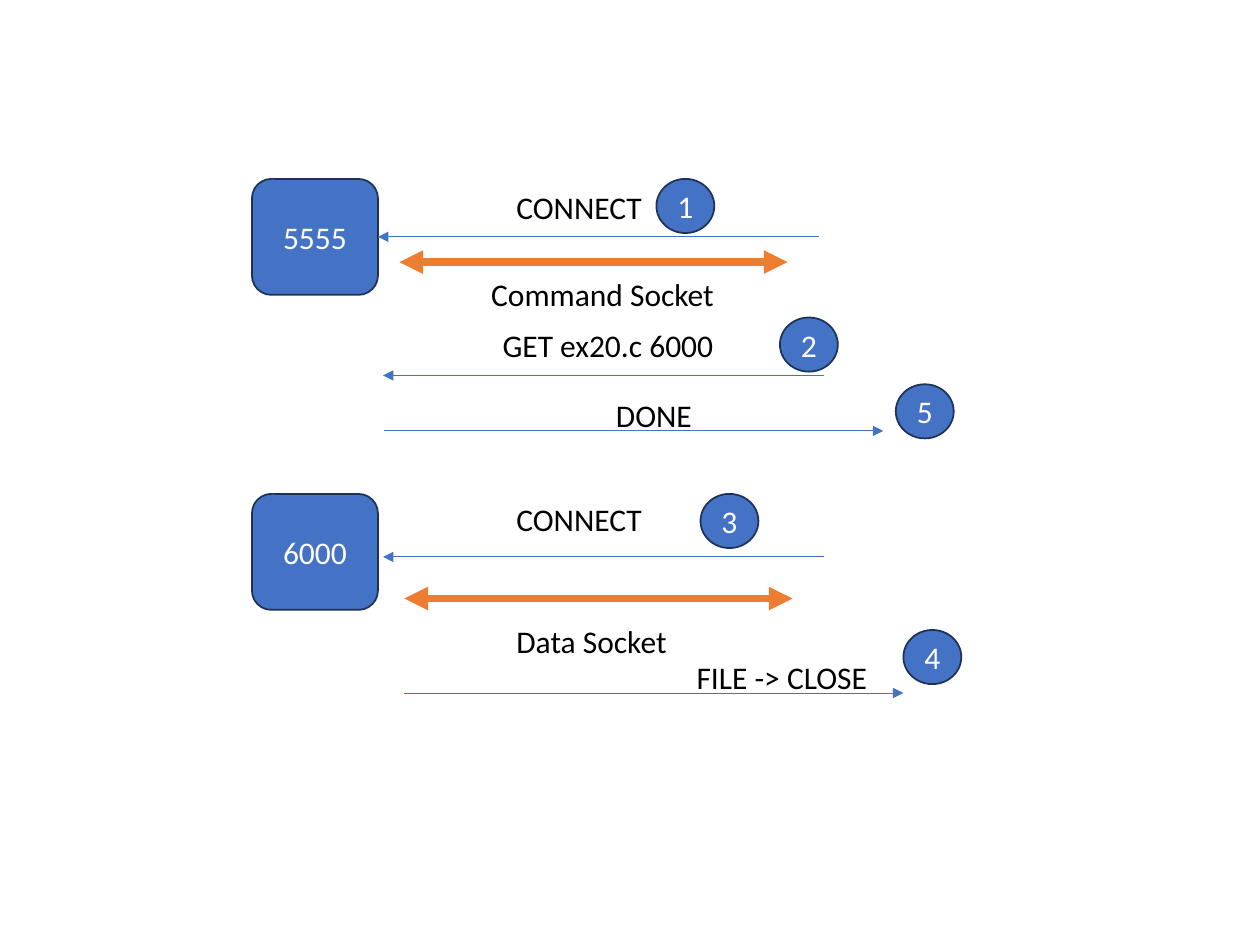
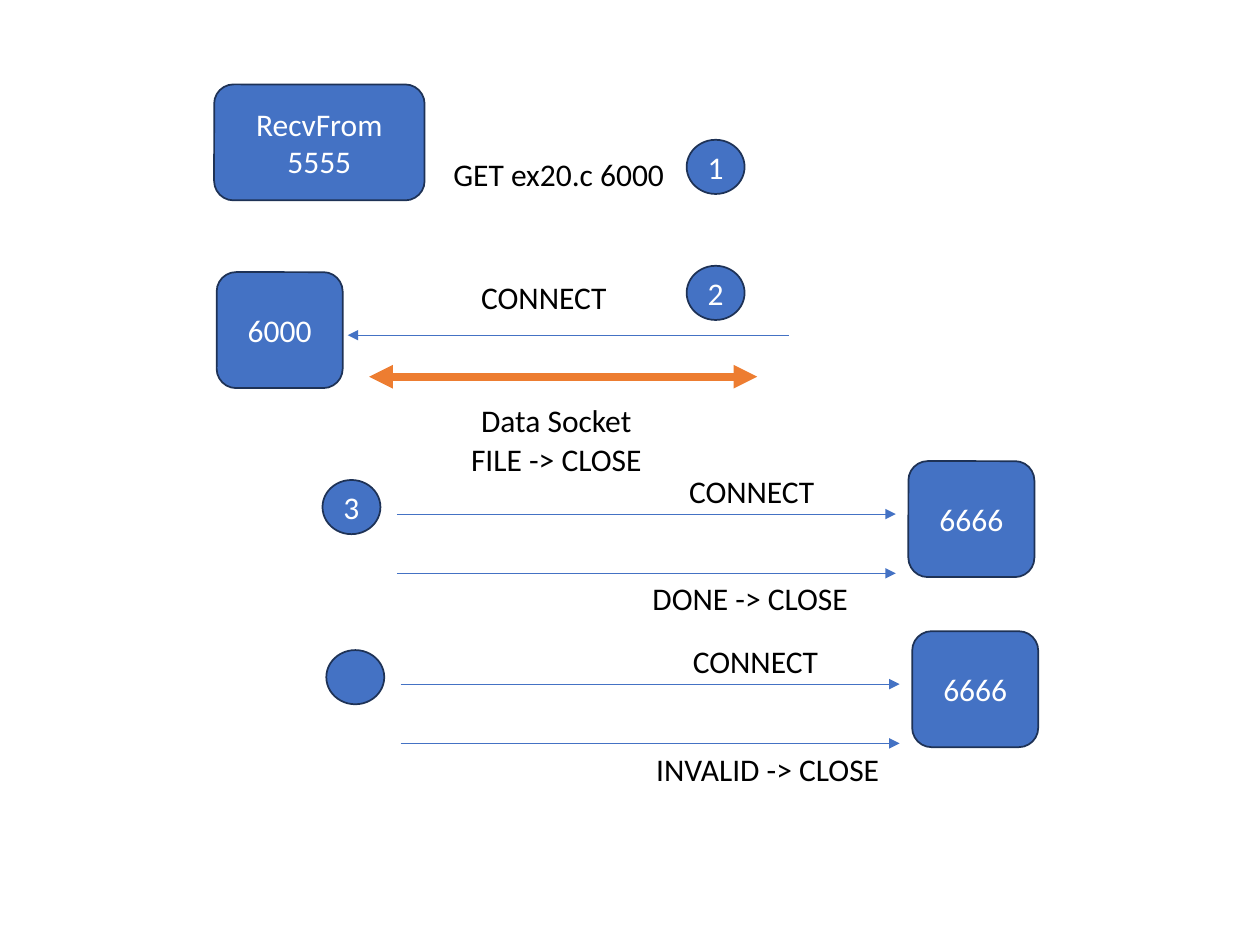
from dataclasses import dataclass

from lxml.etree import SubElement
from pptx import Presentation
from pptx.dml.color import RGBColor
from pptx.enum.shapes import MSO_CONNECTOR, MSO_SHAPE
from pptx.enum.text import MSO_ANCHOR, MSO_AUTO_SIZE, PP_ALIGN
from pptx.oxml.ns import qn
from pptx.util import Inches, Pt


@dataclass(frozen=True)
class Theme:
    """Hold the colours, type and line widths of the diagrams."""
    blue: RGBColor = RGBColor(0x44, 0x72, 0xC4)
    outline: RGBColor = RGBColor(0x1E, 0x32, 0x56)
    orange: RGBColor = RGBColor(0xED, 0x7D, 0x31)
    black: RGBColor = RGBColor(0, 0, 0)
    white: RGBColor = RGBColor(0xFF, 0xFF, 0xFF)
    font: str = "Calibri"
    text_size: Pt = Pt(18)
    outline_width: Pt = Pt(1)
    message_width: Pt = Pt(0.5)
    socket_width: Pt = Pt(4.5)


THEME = Theme()


@dataclass
class Region:
    """Draw diagram parts relative to the top left corner of a region."""
    slide: object
    left: float
    top: float

    def place(self, x, y):
        """Return the slide position of a point in the region."""
        return Inches(self.left + x), Inches(self.top + y)

    def node(self, kind, text, x, y, width, height):
        """Draw a filled shape with centred text."""
        shape = self.slide.shapes.add_shape(
            kind, *self.place(x, y), Inches(width), Inches(height))
        shape.shadow.inherit = False
        shape.fill.solid()
        shape.fill.fore_color.rgb = THEME.blue
        shape.line.color.rgb = THEME.outline
        shape.line.width = THEME.outline_width
        shape.text_frame.vertical_anchor = MSO_ANCHOR.MIDDLE
        write(shape.text_frame, text, THEME.white, PP_ALIGN.CENTER)

    def port(self, text, x=0, y=0, width=1):
        """Draw the rounded box of a listening port."""
        self.node(MSO_SHAPE.ROUNDED_RECTANGLE, text, x, y, width, 0.92)

    def badge(self, text, x, y):
        """Draw the round badge of a step."""
        self.node(MSO_SHAPE.OVAL, text, x, y, 0.46, 0.43)

    def label(self, text, x, y, width):
        """Write a one-line label that does not wrap."""
        box = self.slide.shapes.add_textbox(
            *self.place(x, y), Inches(width), Inches(0.4))
        box.text_frame.word_wrap = False
        box.text_frame.auto_size = MSO_AUTO_SIZE.SHAPE_TO_FIT_TEXT
        write(box.text_frame, text, THEME.black, PP_ALIGN.LEFT)

    def arrow(self, start, end, y, color, width, heads):
        """Draw a horizontal line with the given arrowheads."""
        line = self.slide.shapes.add_connector(
            MSO_CONNECTOR.STRAIGHT, *self.place(start, y), *self.place(end, y))
        line.line.color.rgb = color
        line.line.width = width
        for head in heads:
            SubElement(line.line._get_or_add_ln(), qn(f"a:{head}"), type="triangle")
        SubElement(line._element.spPr, qn("a:effectLst"))

    def message(self, start, end, y):
        """Draw a thin arrow for one message."""
        self.arrow(start, end, y, THEME.blue, THEME.message_width, ["tailEnd"])

    def socket(self, start, y):
        """Draw the thick two-way arrow of an open socket."""
        self.arrow(start, start + 3.08, y, THEME.orange, THEME.socket_width,
                   ["headEnd", "tailEnd"])


def write(frame, text, color, alignment):
    """Fill a text frame and format its paragraphs."""
    frame.text = text
    for paragraph in frame.paragraphs:
        paragraph.alignment = alignment
        paragraph.font.name = THEME.font
        paragraph.font.size = THEME.text_size
        paragraph.font.color.rgb = color


def command_socket(region):
    """Draw the command connection with its request and answer."""
    region.port("5555")
    region.message(4.5, 1, 0.46)
    region.label("CONNECT", 2, 0.02, 1.21)
    region.badge("1", 3.21, 0)
    region.socket(1.17, 0.66)
    region.label("Command Socket", 1.8, 0.71, 1.99)
    region.label("GET ex20.c 6000", 1.89, 1.12, 1.89)
    region.badge("2", 4.19, 1.1)
    region.message(4.54, 1.04, 1.56)
    region.message(1.05, 5.01, 2)
    region.label("DONE", 2.79, 1.67, 0.81)
    region.badge("5", 5.11, 1.63)


def data_socket(region, step, badge_x, badge_y, close_x, close_y):
    """Draw the data connection, its step badge and its closing label."""
    region.port("6000")
    region.message(4.54, 1.04, 0.5)
    region.label("CONNECT", 2, 0, 1.21)
    region.badge(step, badge_x, badge_y)
    region.socket(1.21, 0.83)
    region.label("Data Socket", 2, 0.97, 1.41)
    region.label("FILE -> CLOSE", close_x, close_y, 1.57)


def file_transfer(region):
    """Draw the arrow and badge of the file being sent."""
    region.message(0, 3.96, 0.5)
    region.badge("4", 3.96, 0)


def datagram_request(region):
    """Draw the port that receives the request datagram."""
    region.port("RecvFrom\n5555", width=1.67)
    region.label("GET ex20.c 6000", 1.8, 0.51, 1.89)
    region.badge("1", 3.75, 0.44)


def reply_connection(region, step, answer, answer_width):
    """Draw a connection back to the client with its answer."""
    region.badge(step, 0, 0.15)
    for y in (0.42, 0.89):
        region.message(0.59, 4.55, y)
    region.port("6666", 4.65)
    region.label("CONNECT", 2.81, 0.04, 1.21)
    region.label(answer, 2.52, 0.89, answer_width)


def connected_slide(slide):
    """Build the protocol with a command socket and a data socket."""
    command_socket(Region(slide, 2, 1.42))
    data_socket(Region(slide, 2, 3.92), "3", 3.56, 0, 3.43, 1.25)
    file_transfer(Region(slide, 3.21, 5))


def datagram_slide(slide):
    """Build the protocol with a datagram request and reply connections."""
    datagram_request(Region(slide, 1.7, 0.67))
    data_socket(Region(slide, 1.72, 2.16), "2", 3.73, -0.05, 1.92, 1.28)
    reply_connection(Region(slide, 2.56, 3.66), "3", "DONE -> CLOSE", 1.77)
    reply_connection(Region(slide, 2.59, 5.01), "", "INVALID -> CLOSE", 1.99)


def main():
    """Build and save the presentation."""
    presentation = Presentation()
    presentation.slide_width = Inches(10)
    presentation.slide_height = Inches(7.5)
    blank = presentation.slide_layouts[6]
    for build in (connected_slide, datagram_slide):
        build(presentation.slides.add_slide(blank))
    presentation.save("out.pptx")


if __name__ == "__main__":
    main()
